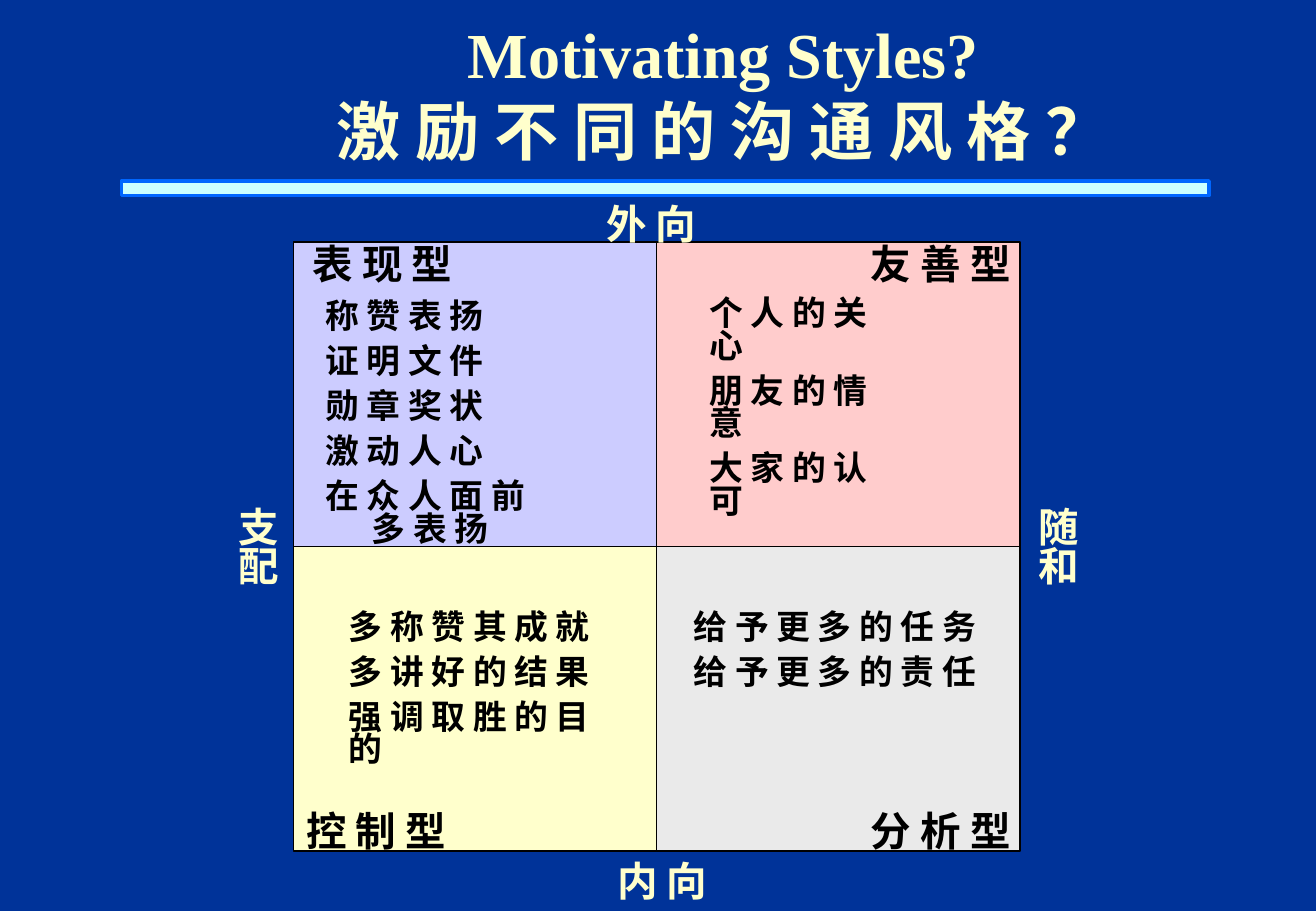
"""Build a slide on how to motivate four communication styles."""
import dataclasses
import typing

import pptx
import pptx.dml.color
import pptx.enum.shapes
import pptx.enum.text
import pptx.slide
import pptx.util

SLIDE_WIDTH = pptx.util.Inches(10.83)
SLIDE_HEIGHT = pptx.util.Inches(7.5)
COLUMN = SLIDE_WIDTH / 100
ROW = SLIDE_HEIGHT / 100
ALIGN = pptx.enum.text.PP_ALIGN
ANCHOR = pptx.enum.text.MSO_ANCHOR
FIT = pptx.enum.text.MSO_AUTO_SIZE
COLORS = {
    "background": "003399", "cream": "FFFFCC", "black": "000000",
    "bar": "CCFFFF", "bar_line": "0066FF", "expressive": "CCCCFF",
    "amiable": "FFCCCC", "driver": "FFFFCC", "analytical": "EAEAEA",
}
MATRIX_LEFT, MATRIX_TOP, CELL_WIDTH, CELL_HEIGHT = 22.3, 26.6, 27.6, 33.4
QUADRANTS = (("expressive", "amiable"), ("driver", "analytical"))


@dataclasses.dataclass(frozen=True)
class Box:
    """A place in hundredths of the slide's width and height."""
    left: float
    top: float
    width: float
    height: float

    def lengths(self) -> tuple[int, int, int, int]:
        """Return left, top, width and height in EMU."""
        return (round(self.left * COLUMN), round(self.top * ROW),
                round(self.width * COLUMN), round(self.height * ROW))


@dataclasses.dataclass(frozen=True)
class Style:
    """The look of one kind of text."""
    size: float
    color: str
    align: typing.Any = ALIGN.LEFT
    anchor: typing.Any = ANCHOR.TOP
    fit: typing.Any = FIT.SHAPE_TO_FIT_TEXT
    wrap: bool = True
    side_inset: float = 0.09
    end_inset: float = 0.04
    line_spacing: float = 1.0
    space_before: float = 0
    indent: float = 0


@dataclasses.dataclass(frozen=True)
class Label:
    """Lines of text in a box, with an optional indented last line."""
    box: Box
    style: Style
    lines: tuple[str, ...]
    continuation: str = ""


TITLE = Style(38, "cream", ALIGN.CENTER, ANCHOR.MIDDLE, FIT.NONE,
              side_inset=0.1, end_inset=0.05)
AXIS = Style(24, "cream", ALIGN.CENTER)
SIDE_AXIS = dataclasses.replace(AXIS, line_spacing=0.8)
HEADING = Style(24, "black", wrap=False, end_inset=0.05, indent=0.05)
ADVICE = Style(20, "black", wrap=False, side_inset=0.1, end_inset=0.05,
               line_spacing=0.8, space_before=7.5)
WRAPPED_ADVICE = dataclasses.replace(ADVICE, wrap=True)

LABELS = (
    Label(Box(22.44, 25.6, 12.83, 6.53), HEADING, ("表 现 型",)),
    Label(Box(21.98, 87.87, 12.83, 6.53), HEADING, ("控 制 型",)),
    Label(Box(64.87, 87.87, 12.83, 6.53), HEADING, ("分 析 型",)),
    Label(Box(64.87, 25.6, 12.83, 6.53), HEADING, ("友 善 型",)),
    Label(Box(36.75, 21.33, 25.48, 6.53), AXIS, ("外 向",)),
    Label(Box(35.18, 93.47, 30.29, 6.53), AXIS, ("内 向",)),
    Label(Box(76.18, 55.6, 8.49, 9.73), SIDE_AXIS, ("随", "和")),
    Label(Box(17.08, 55.6, 5.17, 9.73), SIDE_AXIS, ("支", "配")),
    Label(Box(23.82, 32.53, 21.51, 28.13), WRAPPED_ADVICE,
          ("称 赞 表 扬", "证 明 文 件", "勋 章 奖 状", "激 动 人 心", "在 众 人 面 前"),
          "多 表 扬"),
    Label(Box(53, 32.27, 16.99, 14.67), ADVICE,
          ("个 人 的 关 心", "朋 友 的 情 意", "大 家 的 认 可")),
    Label(Box(51.8, 66.67, 23.82, 9.73), ADVICE,
          ("给 予 更 多 的 任 务", "给 予 更 多 的 责 任")),
    Label(Box(25.58, 66.67, 23.27, 14.67), ADVICE,
          ("多 称 赞 其 成 就", "多 讲 好 的 结 果", "强 调 取 胜 的 目 的")),
    Label(Box(14.59, 1.73, 80.79, 16.67), TITLE,
          ("Motivating Styles?", "激 励 不 同 的 沟 通 风 格 ？")),
)


def rgb(name: str) -> pptx.dml.color.RGBColor:
    """Look up a named colour."""
    return pptx.dml.color.RGBColor.from_string(COLORS[name])


def apply(target: typing.Any, values: dict[str, typing.Any]) -> None:
    """Set each format value on the target."""
    for name, value in values.items():
        setattr(target, name, value)


def draw_rectangle(slide: pptx.slide.Slide, box: Box, fill: str,
                   line: str, line_width: float) -> None:
    """Draw a filled and outlined rectangle."""
    shape = slide.shapes.add_shape(
        pptx.enum.shapes.MSO_SHAPE.RECTANGLE, *box.lengths())
    shape.shadow.inherit = False
    shape.fill.solid()
    shape.fill.fore_color.rgb = rgb(fill)
    shape.line.color.rgb = rgb(line)
    shape.line.width = pptx.util.Pt(line_width)


def draw_label(slide: pptx.slide.Slide, label: Label) -> None:
    """Draw a text box with one paragraph for each line."""
    style = label.style
    frame = slide.shapes.add_textbox(*label.box.lengths()).text_frame
    side, end = map(pptx.util.Inches, (style.side_inset, style.end_inset))
    apply(frame, {
        "word_wrap": style.wrap, "auto_size": style.fit,
        "vertical_anchor": style.anchor, "margin_left": side,
        "margin_right": side, "margin_top": end, "margin_bottom": end,
    })
    rows = [(line, style.indent, style.space_before) for line in label.lines]
    if label.continuation:
        rows.append((label.continuation, 0.38, 0))
    for index, (text, indent, space_before) in enumerate(rows):
        paragraph = frame.add_paragraph() if index else frame.paragraphs[0]
        if indent:
            properties = paragraph._p.get_or_add_pPr()
            properties.set("marL", str(pptx.util.Inches(indent)))
        apply(paragraph, {
            "alignment": style.align, "line_spacing": style.line_spacing,
            "space_before": pptx.util.Pt(space_before if index else 0),
        })
        run = paragraph.add_run()
        run.text = text
        apply(run.font, {"name": "Times New Roman", "bold": True,
                         "size": pptx.util.Pt(style.size)})
        run.font.color.rgb = rgb(style.color)


def main() -> None:
    """Build and save the presentation."""
    presentation = pptx.Presentation()
    apply(presentation, {"slide_width": SLIDE_WIDTH,
                         "slide_height": SLIDE_HEIGHT})
    slide = presentation.slides.add_slide(presentation.slide_layouts[6])
    slide.background.fill.solid()
    slide.background.fill.fore_color.rgb = rgb("background")
    draw_rectangle(slide, Box(9.23, 19.87, 82.64, 1.6), "bar", "bar_line", 2.25)
    for row, names in enumerate(QUADRANTS):
        for column, name in enumerate(names):
            cell = Box(MATRIX_LEFT + column * CELL_WIDTH,
                       MATRIX_TOP + row * CELL_HEIGHT, CELL_WIDTH, CELL_HEIGHT)
            draw_rectangle(slide, cell, name, "black", 1)
    for label in LABELS:
        draw_label(slide, label)
    presentation.save("out.pptx")


if __name__ == "__main__":
    main()
